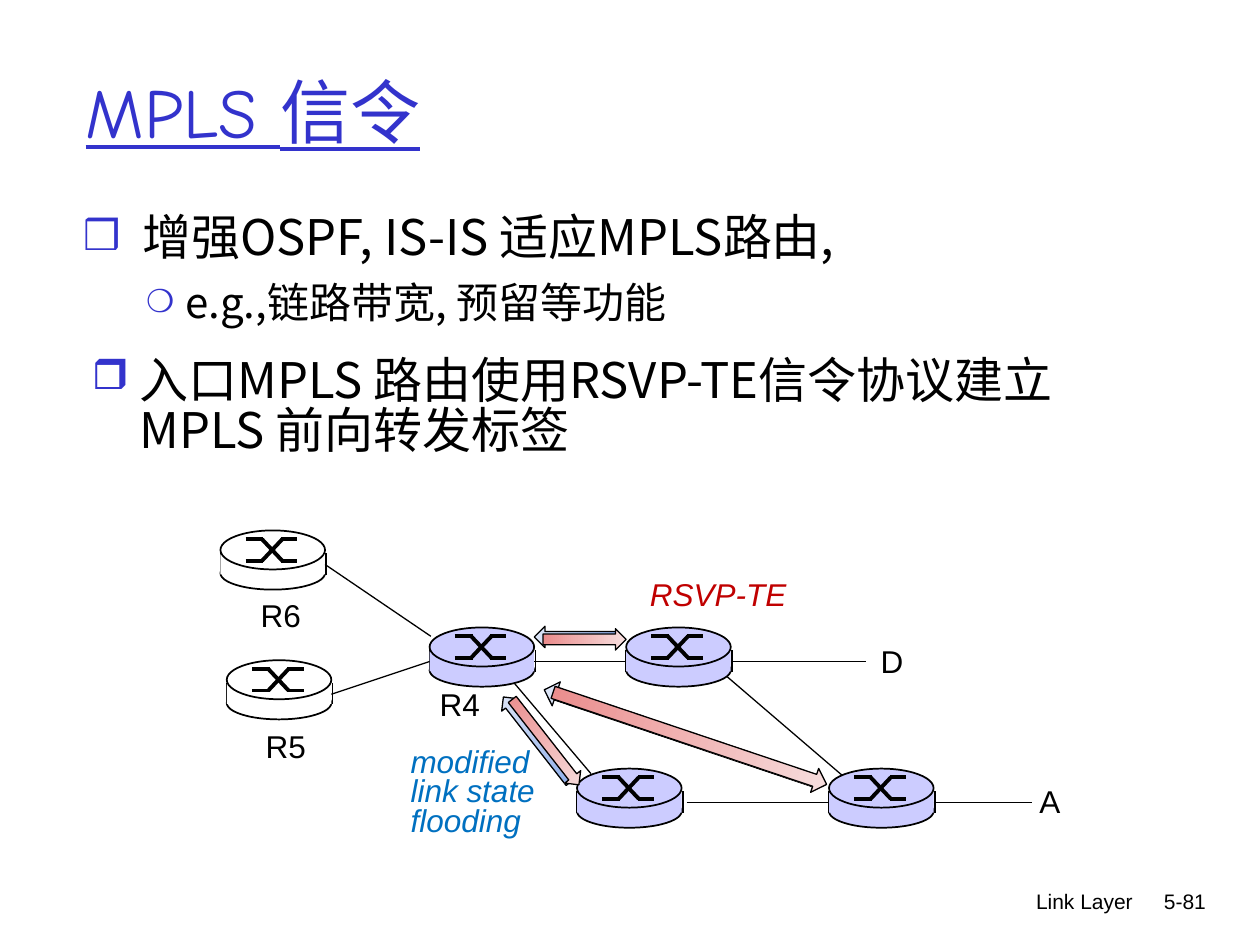
import pptx
import pptx.dml.color
import pptx.enum.shapes
import pptx.enum.text
import pptx.oxml.ns
import pptx.util
from lxml import etree

Inches, Pt = pptx.util.Inches, pptx.util.Pt
Shape = pptx.enum.shapes.MSO_SHAPE
Align = pptx.enum.text.PP_ALIGN
BLACK, WHITE, LILAC, BLUE = "000000", "FFFFFF", "CCCCFF", "3333CC"
CJK = "Noto Sans CJK SC"


def paint(code):
    return pptx.dml.color.RGBColor.from_string(code)


def child(node, tag, **attrs):
    return etree.SubElement(node, pptx.oxml.ns.qn(tag), **attrs)


class Deck:
    """Holds the text style and the current slide."""

    plain = {"name": "Arial", "size": Pt(18), "color": BLACK}
    point = {"name": CJK, "size": Pt(28), "color": BLACK}
    head = {"name": "Comic Neue", "size": Pt(40), "color": BLUE,
            "underline": True}

    def __init__(self):
        self.file = pptx.Presentation()
        self.file.slide_width = Inches(10)
        self.file.slide_height = Inches(7.5)
        self.slide = self.file.slides.add_slide(self.file.slide_layouts[1])
        self.shapes = self.slide.shapes

    def place(self, shape, x, y, w, h):
        shape.left, shape.top = Inches(x), Inches(y)
        shape.width, shape.height = Inches(w), Inches(h)
        shape.text_frame.auto_size = pptx.enum.text.MSO_AUTO_SIZE.NONE
        shape.text_frame.word_wrap = True
        return shape.text_frame

    def words(self, para, text, style, **extra):
        run = para.add_run()
        run.text = text
        for key, value in {**style, **extra}.items():
            if key == "color":
                run.font.color.rgb = paint(value)
            else:
                setattr(run.font, key, value)
        child(run._r.get_or_add_rPr(), "a:ea", typeface=CJK)

    def title(self, text, *box):
        frame = self.place(self.shapes.title, *box)
        frame.vertical_anchor = pptx.enum.text.MSO_ANCHOR.MIDDLE
        frame.paragraphs[0].alignment = Align.LEFT
        self.words(frame.paragraphs[0], text, self.head)

    def bullet(self, para, text, mark, left, hang, scale, gap=0, space=1.0,
               **extra):
        para.space_before, para.line_spacing = Pt(gap), space
        props = para._p.get_or_add_pPr()
        props.set("marL", str(Inches(left)))
        props.set("indent", str(-Inches(hang)))
        child(child(props, "a:buClr"), "a:srgbClr", val=BLUE)
        child(props, "a:buSzPct", val=str(scale * 1000))
        child(props, "a:buChar", char=mark)
        self.words(para, text, self.point, **extra)

    def box(self, *box):
        shape = self.shapes.add_textbox(0, 0, 0, 0)
        return self.place(shape, *box)

    def label(self, lines, x, y, w, h, wrap=False, align=Align.LEFT,
              space=None, **extra):
        frame = self.box(x, y, w, h)
        frame.word_wrap = wrap
        for i, line in enumerate(lines):
            para = frame.add_paragraph() if i else frame.paragraphs[0]
            para.alignment, para.line_spacing = align, space
            self.words(para, line, self.plain, **extra)

    def form(self, home, kind, x, y, w, h, fill=None, width=None):
        shape = home.add_shape(kind, Inches(x), Inches(y), Inches(w), Inches(h))
        shape.shadow.inherit = False
        if fill:
            shape.fill.solid()
            shape.fill.fore_color.rgb = paint(fill)
        if width:
            shape.line.color.rgb = paint(BLACK)
            shape.line.width = Pt(width)
        else:
            shape.line.fill.background()
        return shape

    def line(self, home, x1, y1, x2, y2, width):
        line = home.add_connector(
            pptx.enum.shapes.MSO_CONNECTOR.STRAIGHT,
            Inches(x1), Inches(y1), Inches(x2), Inches(y2))
        line.line.color.rgb = paint(BLACK)
        line.line.width = Pt(width)
        child(line._element.spPr, "a:effectLst")
        return line

    def router(self, x, y, fill):
        """Draws one router and returns the band that links join."""
        home = self.shapes.add_group_shape().shapes
        self.form(home, Shape.OVAL, x, y + 0.21, 0.83, 0.26, fill, 1)
        for side in (x, x + 0.84):
            self.line(home, side, y + 0.18, side, y + 0.35, 1)
        band = self.form(home, Shape.RECTANGLE, x, y + 0.19, 0.83, 0.16, fill)
        self.form(home, Shape.OVAL, x, y, 0.83, 0.31, fill, 1)
        # Crossed paths on the lid
        for near, far in ((0.07, 0.24), (0.24, 0.07)):
            for a, b, c, d in ((0.2, near, 0.34, near), (0.33, near, 0.49, far),
                               (0.48, far, 0.61, far)):
                self.line(home, x + a, y + b, x + c, y + d, 2.25)
        return band

    def link(self, start, end):
        """Each end is a point or a band to join."""
        ends = [p if isinstance(p, tuple) else (0, 0) for p in (start, end)]
        line = self.line(self.shapes, *ends[0], *ends[1], 0.75)
        if not isinstance(start, tuple):
            line.begin_connect(start, 3)
        if not isinstance(end, tuple):
            line.end_connect(end, 1)

    def arrow(self, x, y, w, h, turn, shades):
        shape = self.form(self.shapes, Shape.RIGHT_ARROW, x, y, w, h, width=0.75)
        shape.rotation = turn
        shape.fill.gradient()
        shape.fill.gradient_angle = 0
        for stop, shade, spot in zip(shape.fill.gradient_stops, shades, (0, 1)):
            stop.color.rgb = paint(shade)
            stop.position = spot


def main():
    deck = Deck()

    # Footer
    for text, x, w in (("Link Layer", 5.92, 3.17), ("5-81", 8.93, 0.74)):
        deck.label([text], x, 7, w, 0.5, True, Align.RIGHT, size=Pt(12))

    # Title and lists
    deck.title("MPLS 信令", 0.58, 0.25, 8.5, 1.25)
    body = deck.place(deck.slide.placeholders[1], 0.56, 1.59, 9.12, 1.48)
    deck.bullet(body.paragraphs[0], "增强OSPF, IS-IS 适应MPLS路由,",
                "❒", 0.47, 0.47, 85)
    para = body.add_paragraph()
    para.level = 1
    deck.bullet(para, "e.g.,链路带宽, 预留等功能", "❍", 0.81, 0.31, 75,
                gap=6, size=Pt(24))
    deck.bullet(deck.box(0.63, 2.8, 8.58, 1.16).paragraphs[0],
                "入口MPLS 路由使用RSVP-TE信令协议建立MPLS 前向转发标签",
                "❒", 0.38, 0.38, 85, space=0.85)

    # Routers
    east = deck.router(6.58, 6.1, LILAC)
    deck.router(4.58, 6.1, LILAC)
    north = deck.router(4.97, 4.98, LILAC)
    r4 = deck.router(3.41, 4.98, LILAC)
    r6 = deck.router(1.75, 4.21, WHITE)
    r5 = deck.router(1.8, 5.24, WHITE)

    # Links
    for start, end in ((r6, (3.42, 5.05)), (r5, r4), (r4, north),
                       ((4.08, 5.42), (4.69, 6.14)), ((5.45, 6.37), east),
                       ((5.77, 5.37), (6.68, 6.15)), (east, (8.19, 6.37)),
                       (north, (6.87, 5.25))):
        deck.link(start, end)

    # Node names
    for name, x, y, w in (("D", 6.89, 5.05, 0.38), ("A", 8.15, 6.16, 0.36),
                          ("R4", 3.39, 5.39, 0.52), ("R5", 2.01, 5.72, 0.52),
                          ("R6", 1.97, 4.68, 0.52)):
        deck.label([name], x, y, w, 0.4)

    # Flooding arrows in blue, signal arrows in red on top
    paths = ((4.24, 4.97, 0.66, 0.17, 0), (3.83, 5.79, 0.86, 0.16, 52),
             (4.26, 5.74, 2.29, 0.2, 18.6))
    for dx, dy, back, shades in ((0, 0, 180, ("8CADEA", "DEE6F7")),
                                 (0.07, 0.02, 0, ("EA8C8C", "F7DEDE"))):
        for x, y, w, h, turn in paths:
            deck.arrow(x + dx, y + dy, w, h, turn + back, shades)
    for lines, x, y, w, h, color in (
            (["modified", "link state", "flooding"], 3.16, 5.9, 1.25, 0.81,
             "0070C0"),
            (["RSVP-TE"], 5.06, 4.58, 1.28, 0.34, "C00000")):
        deck.label(lines, x, y, w, h, space=Pt(17), color=color, italic=True)

    deck.file.save("out.pptx")


if __name__ == "__main__":
    main()
